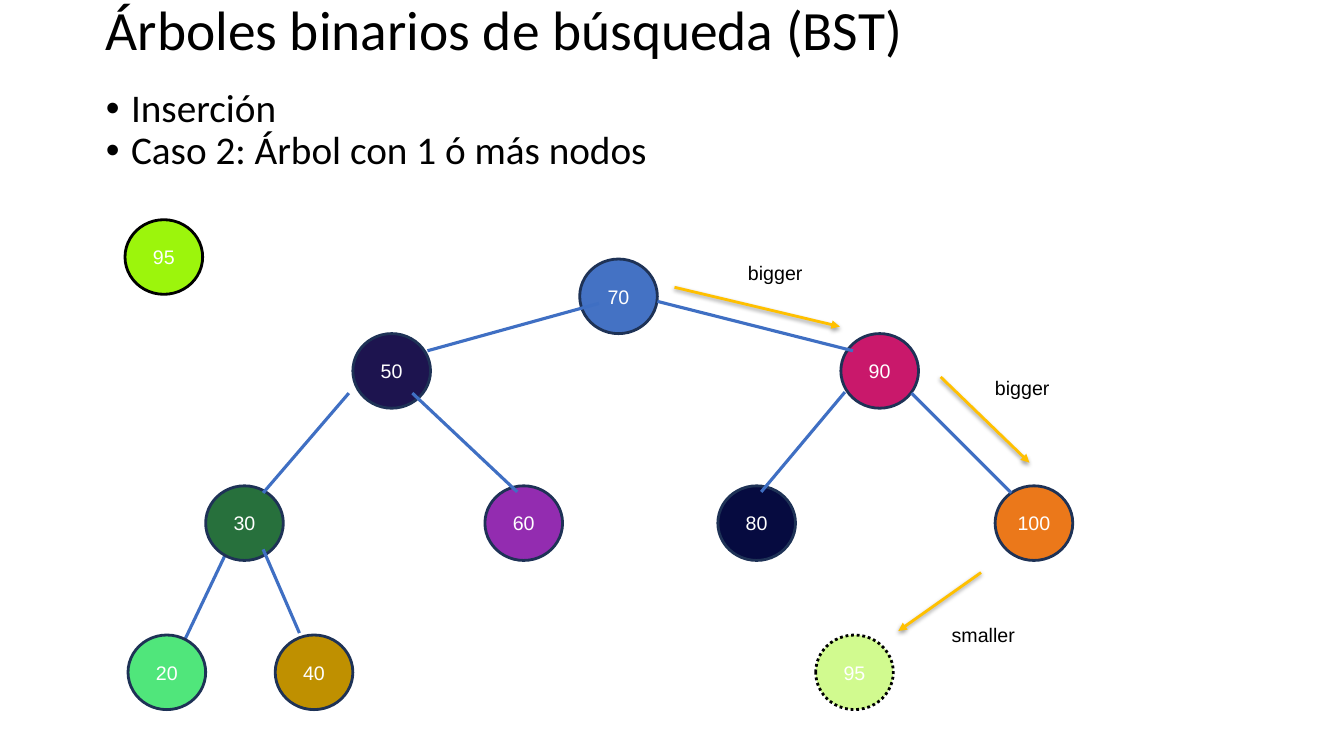
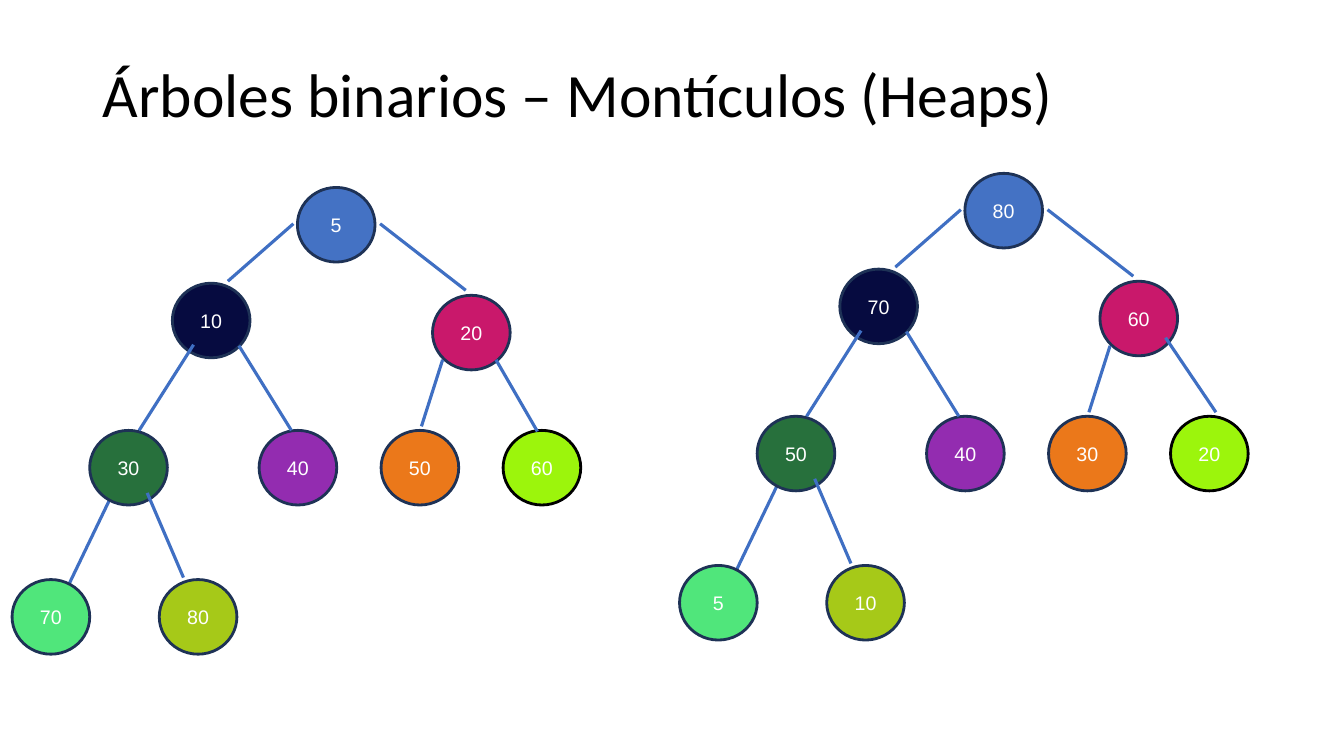
from dataclasses import dataclass, replace
from typing import Any, Iterable, Optional

from lxml import etree
from pptx import Presentation
from pptx import util as u
from pptx.dml.color import RGBColor
from pptx.enum import dml, shapes, text
from pptx.oxml import ns

BLACK = RGBColor(0x00, 0x00, 0x00)
WHITE = RGBColor(0xFF, 0xFF, 0xFF)
OUTLINE = RGBColor(0x1E, 0x32, 0x56)
EDGE = RGBColor(0x3F, 0x6F, 0xC3)
AMBER = RGBColor(0xFF, 0xC0, 0x00)
BLUE = RGBColor(0x44, 0x72, 0xC4)
MAGENTA = RGBColor(0xC9, 0x18, 0x6B)
NAVY = RGBColor(0x06, 0x0B, 0x40)
INDIGO = RGBColor(0x1D, 0x14, 0x4F)
PURPLE = RGBColor(0x93, 0x2C, 0xB0)
GREEN = RGBColor(0x27, 0x70, 0x3C)
ORANGE = RGBColor(0xEB, 0x78, 0x1A)
GOLD = RGBColor(0xBF, 0x90, 0x00)
OLIVE = RGBColor(0xA6, 0xC9, 0x18)
MINT = RGBColor(0x50, 0xE6, 0x7B)
LIME = RGBColor(0x9C, 0xF5, 0x0C)

NODE_WIDTH, NODE_HEIGHT = 0.77, 0.74
LABEL_WIDTH, LABEL_HEIGHT = 1.04, 0.34
LABEL_FONT = {"name": "Arial", "size": u.Pt(14)}
HEADING_FONT = {"name": "Calibri", "bold": False}
HEADING_PARAGRAPH = {
    "alignment": text.PP_ALIGN.LEFT,
    "line_spacing": 0.9,
    "space_before": u.Pt(0),
}
HEADING_FRAME = {
    "auto_size": text.MSO_AUTO_SIZE.NONE,
    "word_wrap": True,
    "vertical_anchor": text.MSO_ANCHOR.MIDDLE,
}
NODE_FRAME = {
    "margin_left": 0,
    "margin_right": 0,
    "vertical_anchor": text.MSO_ANCHOR.MIDDLE,
}


@dataclass(frozen=True)
class Node:
    value: int
    left: float
    top: float
    fill: RGBColor
    outline: RGBColor = OUTLINE
    opacity: Optional[int] = None
    dotted: bool = False


@dataclass(frozen=True)
class Line:
    x1: float
    y1: float
    x2: float
    y2: float


@dataclass(frozen=True)
class Label:
    words: str
    left: float
    top: float


@dataclass(frozen=True)
class Heap:
    values: tuple[int, ...]
    dx: float
    dy: float
    last_edge: Line


LEVELS = (2.57, 3.31, 4.82, 6.3)
SEARCH_NODES = (
    Node(70, 5.75, LEVELS[0], BLUE),
    Node(50, 3.5, LEVELS[1], INDIGO),
    Node(90, 8.34, LEVELS[1], MAGENTA),
    Node(30, 2.04, LEVELS[2], GREEN),
    Node(60, 4.81, LEVELS[2], PURPLE),
    Node(80, 7.12, LEVELS[2], NAVY),
    Node(100, 9.87, LEVELS[2], ORANGE),
    Node(20, 1.27, LEVELS[3], MINT),
    Node(40, 2.73, LEVELS[3], GOLD),
    Node(95, 1.24, 2.18, LIME, BLACK),
    Node(95, 8.09, LEVELS[3], LIME, BLACK, opacity=46, dotted=True),
)
SEARCH_BACK_EDGE = Line(2.26, 5.45, 1.76, 6.5)
SEARCH_EDGES = (
    Line(5.94, 3.01, 4.24, 3.48),
    Line(6.52, 2.99, 8.46, 3.48),
    Line(3.46, 3.9, 2.61, 4.89),
    Line(4.09, 3.9, 5.13, 4.88),
    Line(8.38, 3.89, 7.55, 4.88),
    Line(9.04, 3.9, 10.03, 4.89),
    Line(2.61, 5.45, 2.97, 6.28),
)
SEARCH_ARROWS = (
    Line(6.69, 2.85, 8.33, 3.24),
    Line(9.33, 3.74, 10.21, 4.59),
    Line(9.73, 5.68, 8.91, 6.26),
)
SEARCH_LABELS = (
    Label("bigger", 7.32, 2.54),
    Label("bigger", 9.77, 3.68),
    Label("smaller", 9.34, 6.13),
)

HEAP_NODES = (
    Node(5, 2.95, 1.86, BLUE),
    Node(10, 1.71, 2.81, NAVY),
    Node(20, 4.29, 2.93, MAGENTA),
    Node(30, 0.89, 4.27, GREEN),
    Node(40, 2.57, 4.27, PURPLE),
    Node(50, 3.78, 4.27, ORANGE),
    Node(60, 4.99, 4.27, LIME, BLACK),
    Node(70, 0.12, 5.75, MINT),
    Node(80, 1.58, 5.75, OLIVE),
)
HEAP_BACK_EDGE = Line(1.12, 4.89, 0.61, 5.95)
HEAP_EDGES = (
    Line(2.26, 2.79, 2.91, 2.22),
    Line(3.77, 2.22, 4.62, 2.88),
    Line(1.92, 3.42, 1.38, 4.27),
    Line(2.37, 3.43, 2.89, 4.27),
    Line(4.39, 3.57, 4.18, 4.23),
    Line(1.46, 4.89, 1.82, 5.73),
)
HEAPS = (
    Heap((5, 10, 20, 30, 40, 50, 60, 70, 80), 0, 0, Line(4.92, 3.57, 5.33, 4.28)),
    Heap((80, 70, 60, 50, 40, 30, 20, 5, 10), 6.62, -0.14, Line(4.94, 3.49, 5.44, 4.23)),
)


def apply_format(target: Any, values: dict[str, Any]) -> None:
    for name, value in values.items():
        setattr(target, name, value)


def add_child(parent: Any, tag: str, **attributes: str) -> Any:
    return etree.SubElement(parent, ns.qn(tag), attributes)


def place(shape: Any, left: float, top: float, width: float, height: float) -> None:
    bounds = {"left": left, "top": top, "width": width, "height": height}
    apply_format(shape, {name: u.Inches(value) for name, value in bounds.items()})


def write(paragraph: Any, words: str, font: dict[str, Any], color: RGBColor) -> None:
    run = paragraph.add_run()
    run.text = words
    apply_format(run.font, font)
    run.font.color.rgb = color


def set_title(slide: Any, words: str, size: float, bounds: tuple[float, ...]) -> None:
    title = slide.shapes.title
    place(title, *bounds)
    apply_format(title.text_frame, HEADING_FRAME)
    paragraph = title.text_frame.paragraphs[0]
    apply_format(paragraph, HEADING_PARAGRAPH)
    write(paragraph, words, {**HEADING_FONT, "size": u.Pt(size)}, BLACK)


def set_bullets(slide: Any, items: Iterable[str], bounds: tuple[float, ...]) -> None:
    body = slide.placeholders[1]
    place(body, *bounds)
    frame = body.text_frame
    apply_format(frame, {**HEADING_FRAME, "vertical_anchor": text.MSO_ANCHOR.TOP})
    for index, item in enumerate(items):
        paragraph = frame.add_paragraph() if index else frame.paragraphs[0]
        apply_format(paragraph, {**HEADING_PARAGRAPH, "alignment": text.PP_ALIGN.JUSTIFY})
        write(paragraph, item, {**HEADING_FONT, "size": u.Pt(28)}, BLACK)
        properties = paragraph._p.get_or_add_pPr()
        properties.set("marL", str(u.Inches(0.25)))
        properties.set("indent", str(u.Inches(-0.25)))
        add_child(add_child(properties, "a:buClr"), "a:srgbClr", val=str(BLACK))
        add_child(properties, "a:buFont", typeface="Arial")
        add_child(properties, "a:buChar", char="•")


def add_node(slide: Any, node: Node) -> None:
    shape = slide.shapes.add_shape(
        shapes.MSO_SHAPE.FLOWCHART_CONNECTOR,
        u.Inches(node.left), u.Inches(node.top),
        u.Inches(NODE_WIDTH), u.Inches(NODE_HEIGHT),
    )
    shape.shadow.inherit = False
    shape.fill.solid()
    shape.fill.fore_color.rgb = node.fill
    if node.opacity is not None:
        color = shape.element.spPr.find(f"{ns.qn('a:solidFill')}/{ns.qn('a:srgbClr')}")
        add_child(color, "a:alpha", val=str(node.opacity * 1000))
    shape.line.color.rgb = node.outline
    shape.line.width = u.Pt(2)
    if node.dotted:
        shape.line.dash_style = dml.MSO_LINE.ROUND_DOT
    apply_format(shape.text_frame, NODE_FRAME)
    paragraph = shape.text_frame.paragraphs[0]
    paragraph.alignment = text.PP_ALIGN.CENTER
    write(paragraph, str(node.value), LABEL_FONT, WHITE)


def add_line(slide: Any, line: Line, arrow: bool = False) -> None:
    connector = slide.shapes.add_connector(
        shapes.MSO_CONNECTOR.STRAIGHT,
        *(u.Inches(value) for value in (line.x1, line.y1, line.x2, line.y2)),
    )
    connector.line.color.rgb = AMBER if arrow else EDGE
    connector.line.width = u.Pt(2 if arrow else 2.25)
    properties = connector.element.spPr
    effects = add_child(properties, "a:effectLst")
    if arrow:
        add_child(properties.find(ns.qn("a:ln")), "a:tailEnd", type="triangle")
        shadow = add_child(
            effects, "a:outerShdw",
            blurRad="40000", dist="20000", dir="5400000", rotWithShape="0",
        )
        color = add_child(shadow, "a:srgbClr", val=str(BLACK))
        add_child(color, "a:alpha", val="38000")


def add_label(slide: Any, label: Label) -> None:
    box = slide.shapes.add_textbox(
        u.Inches(label.left), u.Inches(label.top),
        u.Inches(LABEL_WIDTH), u.Inches(LABEL_HEIGHT),
    )
    frame = box.text_frame
    apply_format(frame, {"word_wrap": True, "auto_size": text.MSO_AUTO_SIZE.SHAPE_TO_FIT_TEXT})
    write(frame.paragraphs[0], label.words, LABEL_FONT, BLACK)


def draw_tree(slide: Any, nodes: Iterable[Node], back_edge: Line, edges: Iterable[Line]) -> None:
    add_line(slide, back_edge)
    for node in nodes:
        add_node(slide, node)
    for edge in edges:
        add_line(slide, edge)


def shift(line: Line, dx: float, dy: float) -> Line:
    return Line(line.x1 + dx, line.y1 + dy, line.x2 + dx, line.y2 + dy)


def draw_heap(slide: Any, heap: Heap) -> None:
    nodes = [
        replace(node, value=value, left=node.left + heap.dx, top=node.top + heap.dy)
        for node, value in zip(HEAP_NODES, heap.values)
    ]
    edges = [shift(edge, heap.dx, heap.dy) for edge in (*HEAP_EDGES, heap.last_edge)]
    draw_tree(slide, nodes, shift(HEAP_BACK_EDGE, heap.dx, heap.dy), edges)


def build_search_tree_slide(presentation: Any) -> None:
    slide = presentation.slides.add_slide(presentation.slide_layouts[1])
    set_title(slide, "Árboles binarios de búsqueda (BST)", 39.6, (0.95, 0.01, 11.47, 0.62))
    set_bullets(
        slide, ("Inserción", "Caso 2: Árbol con 1 ó más nodos"), (0.95, 0.83, 11.61, 6.05)
    )
    draw_tree(slide, SEARCH_NODES, SEARCH_BACK_EDGE, SEARCH_EDGES)
    for arrow in SEARCH_ARROWS:
        add_line(slide, arrow, arrow=True)
    for label in SEARCH_LABELS:
        add_label(slide, label)


def build_heaps_slide(presentation: Any) -> None:
    slide = presentation.slides.add_slide(presentation.slide_layouts[5])
    set_title(slide, "Árboles binarios – Montículos (Heaps)", 44, (0.92, 0.24, 11.5, 1.45))
    for heap in HEAPS:
        draw_heap(slide, heap)


def main() -> None:
    presentation = Presentation()
    presentation.slide_width = u.Inches(13.33)
    presentation.slide_height = u.Inches(7.5)
    build_search_tree_slide(presentation)
    build_heaps_slide(presentation)
    presentation.save("out.pptx")


if __name__ == "__main__":
    main()
